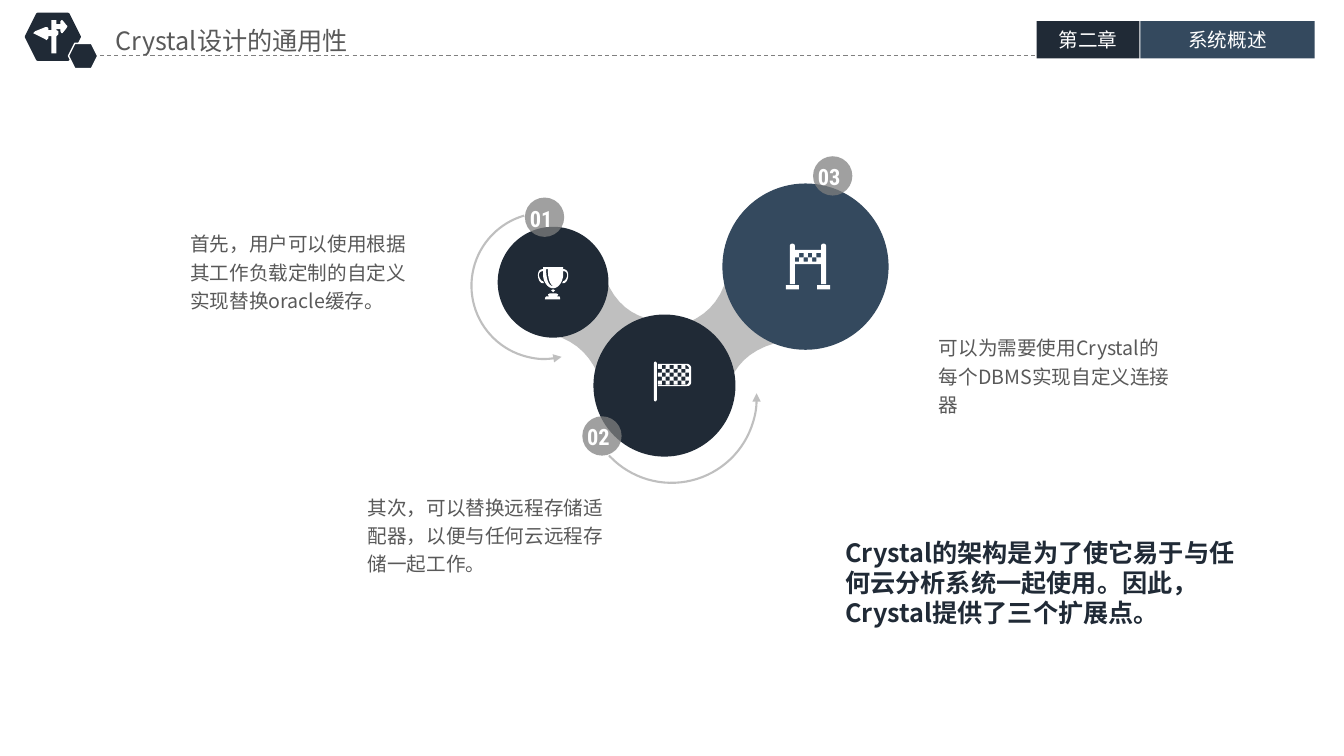
from dataclasses import dataclass
from typing import Optional

from lxml import etree
from pptx import Presentation
from pptx.dml.color import RGBColor
from pptx.enum.dml import MSO_LINE
from pptx.enum.shapes import MSO_CONNECTOR, MSO_SHAPE as Shape
from pptx.enum.text import MSO_ANCHOR as Anchor, MSO_AUTO_SIZE as AutoSize, PP_ALIGN as Align
from pptx.oxml.ns import qn
from pptx.util import Inches, Pt

NAVY, BLUE, WHITE = "202A36", "34495E", "FFFFFF"
TEXT_GRAY, LINE_GRAY, BADGE_GRAY, LIGHT_GRAY = "595959", "808080", "7F7F7F", "BFBFBF"
CJK, CONDENSED = "Noto Sans CJK SC", "Roboto Condensed"

Box = tuple[float, float, float, float]
Contour = list[tuple[float, ...]]  # 2 numbers: corner; 6 numbers: cubic curve


@dataclass
class Node:
    label: str
    circle: Box
    color: str
    icon: list[Contour]
    badge: tuple[float, float]


@dataclass
class Arc:
    box: Box
    rotation: float
    adjustments: tuple[float, float]


@dataclass
class Note:
    box: Box
    text: str


def rgb(color: str) -> RGBColor:
    return RGBColor.from_string(color)


def paint(shape, fill: Optional[str] = None, line: Optional[str] = None, width: float = 1) -> None:
    shape.shadow.inherit = False
    if fill:
        shape.fill.solid()
        shape.fill.fore_color.rgb = rgb(fill)
    else:
        shape.fill.background()
    if line:
        shape.line.color.rgb = rgb(line)
        shape.line.width = Pt(width)
    else:
        shape.line.fill.background()


def add_preset(shapes, kind, box: Box, **colors):
    shape = shapes.add_shape(kind, *map(Inches, box))
    paint(shape, **colors)
    return shape


def write(shape, text: str, *, size: float = 14, color: str = TEXT_GRAY, font: str = CJK,
          bold: bool = False, align=Align.LEFT, anchor=Anchor.TOP, spacing: float = 1.0,
          insets: tuple[float, float] = (0.1, 0.05), grow: bool = True) -> None:
    frame = shape.text_frame
    frame.word_wrap = True
    frame.auto_size = AutoSize.SHAPE_TO_FIT_TEXT if grow else AutoSize.NONE
    frame.vertical_anchor = anchor
    frame.margin_left = frame.margin_right = Inches(insets[0])
    frame.margin_top = frame.margin_bottom = Inches(insets[1])
    paragraph = frame.paragraphs[0]
    paragraph.alignment, paragraph.line_spacing = align, spacing
    run = paragraph.add_run()
    run.text = text
    run.font.size, run.font.bold, run.font.name = Pt(size), bold, font
    run.font.color.rgb = rgb(color)
    etree.SubElement(run.font._element, qn("a:ea"), typeface=font)


def add_text(shapes, box: Box, text: str, **text_format) -> None:
    write(shapes.add_textbox(*map(Inches, box)), text, **text_format)


def flatten(contour: Contour, steps: int = 10) -> list[tuple[int, int]]:
    """Turn corners and cubic curves into points."""
    points = []
    for segment in contour:
        if len(segment) == 2:
            points.append(segment)
            continue
        (x0, y0), (x1, y1, x2, y2, x3, y3) = points[-1], segment
        for t in (step / steps for step in range(1, steps + 1)):
            a, b, c, d = (1 - t) ** 3, 3 * t * (1 - t) ** 2, 3 * t * t * (1 - t), t ** 3
            points.append((a * x0 + b * x1 + c * x2 + d * x3, a * y0 + b * y1 + c * y2 + d * y3))
    return [(Inches(x), Inches(y)) for x, y in points]


def add_outline(shapes, contours: list[Contour], color: str) -> None:
    first, *others = map(flatten, contours)
    builder = shapes.build_freeform(*first[0])
    builder.add_line_segments(first[1:])
    for points in others:
        builder.move_to(*points[0])
        builder.add_line_segments(points[1:])
    paint(builder.convert_to_shape(), color)


def rectangle(left: float, top: float, right: float, bottom: float) -> Contour:
    return [(left, top), (right, top), (right, bottom), (left, bottom)]


def checker(left: float, top: float, size: float, columns: int, rows: int, parity: int) -> list[Contour]:
    return [rectangle(left + column * size, top + row * size,
                      left + (column + 1) * size, top + (row + 1) * size)
            for row in range(rows) for column in range(columns) if (row + column) % 2 == parity]


def mirror(contour: Contour, axis: float) -> Contour:
    return [tuple(2 * axis - v if i % 2 == 0 else v for i, v in enumerate(segment)) for segment in contour]


# Icons
SIGNPOST = [[
    (0.66, 0.25), (0.62, 0.2), (0.61, 0.2), (0.6, 0.21), (0.6, 0.24), (0.56, 0.24), (0.56, 0.2),
    (0.51, 0.2), (0.51, 0.3), (0.48, 0.3), (0.48, 0.28), (0.47, 0.27), (0.45, 0.27), (0.35, 0.31),
    (0.33, 0.33), (0.35, 0.34), (0.45, 0.39), (0.46, 0.4), (0.48, 0.38), (0.48, 0.36), (0.51, 0.36),
    (0.51, 0.53), (0.56, 0.53), (0.56, 0.36), (0.58, 0.34), (0.58, 0.31), (0.56, 0.3), (0.56, 0.29),
    (0.6, 0.29), (0.6, 0.31), (0.61, 0.33), (0.62, 0.33), (0.66, 0.28), (0.67, 0.26)]]
HANDLE = [(5.59, 2.81), (5.58, 2.81), (5.59, 2.79), (5.61, 2.79, 5.63, 2.75, 5.63, 2.73),
          (5.63, 2.7, 5.61, 2.69, 5.59, 2.69), (5.59, 2.67), (5.62, 2.67, 5.64, 2.69, 5.64, 2.73),
          (5.64, 2.77, 5.62, 2.81, 5.59, 2.81)]
TROPHY = [
    HANDLE, mirror(HANDLE, 5.49),
    [(5.49, 2.86), (5.44, 2.86, 5.39, 2.8, 5.39, 2.72), (5.39, 2.65), (5.59, 2.65), (5.59, 2.72),
     (5.59, 2.8, 5.54, 2.86, 5.49, 2.86)],
    [(5.44, 2.67), (5.42, 2.67), (5.42, 2.67, 5.42, 2.84, 5.49, 2.84), (5.43, 2.8, 5.44, 2.67, 5.44, 2.67)],
    [(5.47, 2.88), (5.49, 2.87), (5.51, 2.88), (5.49, 2.9)],
    [(5.54, 2.92), (5.54, 2.93, 5.53, 2.94, 5.52, 2.94), (5.46, 2.94),
     (5.45, 2.94, 5.44, 2.93, 5.44, 2.92), (5.46, 2.91), (5.52, 2.91)],
    [(5.43, 2.94), (5.55, 2.94), (5.56, 2.94, 5.56, 2.96, 5.56, 2.97), (5.41, 2.97),
     (5.41, 2.96, 5.41, 2.94, 5.43, 2.94)]]
FLAG = [
    [(6.53, 3.61), (6.82, 3.61), (6.84, 3.61, 6.86, 3.63, 6.86, 3.65), (6.86, 3.79),
     (6.86, 3.82, 6.84, 3.83, 6.82, 3.83), (6.53, 3.83), (6.53, 3.82), (6.8, 3.82),
     (6.82, 3.82, 6.84, 3.8, 6.84, 3.78), (6.84, 3.66), (6.84, 3.64, 6.82, 3.62, 6.8, 3.62), (6.53, 3.62)],
    [(6.49, 3.61), (6.49, 3.58, 6.52, 3.58, 6.52, 3.61), (6.52, 3.96), (6.52, 3.99, 6.49, 3.99, 6.49, 3.96)],
    *checker(6.53, 3.62, 0.039, 8, 5, 0)]
GATE = [
    [(8.15, 2.62), (7.89, 2.62), (7.89, 2.82), (7.84, 2.82), (7.84, 2.44), (7.84, 2.41, 7.89, 2.41, 7.89, 2.44),
     (7.89, 2.48), (8.15, 2.48), (8.15, 2.44), (8.15, 2.41, 8.2, 2.41, 8.2, 2.44), (8.2, 2.82), (8.15, 2.82)],
    rectangle(7.8, 2.83, 7.93, 2.87), rectangle(8.11, 2.83, 8.24, 2.87),
    *checker(7.89, 2.51, 0.043, 6, 2, 1)]

# Content
NECKS = [
    [(7.22, 2.73), (7.8, 3.38), (7.42, 3.45, 7.27, 3.65, 7.2, 3.91), (6.62, 3.26), (6.88, 3.21, 7.13, 3.09, 7.22, 2.73)],
    [(5.38, 3.3), (5.97, 2.65), (6.08, 3.03, 6.29, 3.15, 6.56, 3.19), (5.98, 3.84), (5.91, 3.59, 5.75, 3.35, 5.38, 3.3)]]
NODES = [
    Node("01", (4.94, 2.25, 1.1, 1.1), NAVY, TROPHY, (5.21, 1.96)),
    Node("02", (5.89, 3.12, 1.41, 1.41), NAVY, FLAG, (5.78, 4.13)),
    Node("03", (7.17, 1.82, 1.65, 1.65), BLUE, GATE, (8.07, 1.55))]
ARCS = [Arc((4.68, 2.11, 1.45, 1.45), 253.9, (109.56, 0)),
        Arc((5.82, 3.1, 1.69, 1.69), 136.3, (132.45, 0.57))]
TABS = [(Note((10.29, 0.21, 1.02, 0.37), "第二章"), NAVY),
        (Note((11.32, 0.21, 1.73, 0.37), "系统概述"), BLUE)]
NOTES = [
    Note((1.79, 2.21, 2.52, 0.93), "首先，用户可以使用根据其工作负载定制的自定义实现替换oracle缓存。"),
    Note((3.55, 4.82, 2.57, 0.95), "其次，可以替换远程存储适配器，以便与任何云远程存储一起工作。"),
    Note((9.22, 3.24, 2.49, 0.95), "可以为需要使用Crystal的每个DBMS实现自定义连接器")]


def draw_header(slide) -> None:
    shapes = slide.shapes
    title = shapes.title
    title.left, title.top, title.width, title.height = map(Inches, (1.08, 0.21, 3.54, 0.38))
    write(title, "Crystal设计的通用性", size=18, insets=(0.07, 0.04))
    add_preset(shapes, Shape.HEXAGON, (0.26, 0.14, 0.53, 0.45), fill=NAVY, line=NAVY, width=2)
    rule = shapes.add_connector(MSO_CONNECTOR.STRAIGHT, *map(Inches, (0.92, 0.55, 10.29, 0.55)))
    rule.line.color.rgb, rule.line.width = rgb(LINE_GRAY), Pt(0.75)
    rule.line.dash_style = MSO_LINE.DASH
    etree.SubElement(rule._element.spPr, qn("a:effectLst"))
    add_preset(shapes, Shape.HEXAGON, (0.68, 0.43, 0.29, 0.25), fill=NAVY, line=WHITE)
    for tab, color in TABS:
        left, top, width, _ = tab.box
        add_preset(shapes, Shape.RECTANGLE, tab.box, fill=color)
        add_text(shapes, (left, top + 0.03, width, 0.31), tab.text, color=WHITE,
                 align=Align.CENTER, insets=(0.07, 0.04))
    add_outline(shapes, SIGNPOST, WHITE)


def draw_diagram(shapes) -> None:
    for neck in NECKS:
        add_outline(shapes, [neck], LIGHT_GRAY)
    for node in NODES:
        group = shapes.add_group_shape().shapes
        add_preset(group, Shape.OVAL, node.circle, fill=node.color)
        add_outline(group, node.icon, WHITE)
    for arc in ARCS:
        shape = add_preset(shapes, Shape.ARC, arc.box, line=LIGHT_GRAY, width=1.5)
        shape.rotation = arc.rotation
        shape.adjustments[0], shape.adjustments[1] = arc.adjustments
        etree.SubElement(shape.line._get_or_add_ln(), qn("a:headEnd"), type="triangle")
    for node in NODES:
        left, top = node.badge
        badge = add_preset(shapes, Shape.OVAL, (left, top, 0.39, 0.39), fill=BADGE_GRAY)
        color = badge._element.spPr.find(qn("a:solidFill"))[0]
        etree.SubElement(color, qn("a:alpha"), val="74000")
        add_text(shapes, (left - 0.05, top + 0.01, 0.49, 0.39), node.label, size=16, color=WHITE,
                 font=CONDENSED, bold=True, anchor=Anchor.MIDDLE, grow=False)


def main() -> None:
    presentation = Presentation()
    presentation.slide_width, presentation.slide_height = Inches(13.34), Inches(7.5)
    slide = presentation.slides.add_slide(presentation.slide_layouts[5])
    draw_header(slide)
    draw_diagram(slide.shapes)
    # Explanations and conclusion
    for note in NOTES:
        add_text(slide.shapes, note.box, note.text, spacing=1.2)
    add_text(slide.shapes, (8.26, 5.27, 4.3, 1.04),
             "Crystal的架构是为了使它易于与任何云分析系统一起使用。因此，Crystal提供了三个扩展点。",
             size=18, color=NAVY, bold=True, insets=(0.13, 0.06))
    presentation.save("out.pptx")


if __name__ == "__main__":
    main()
